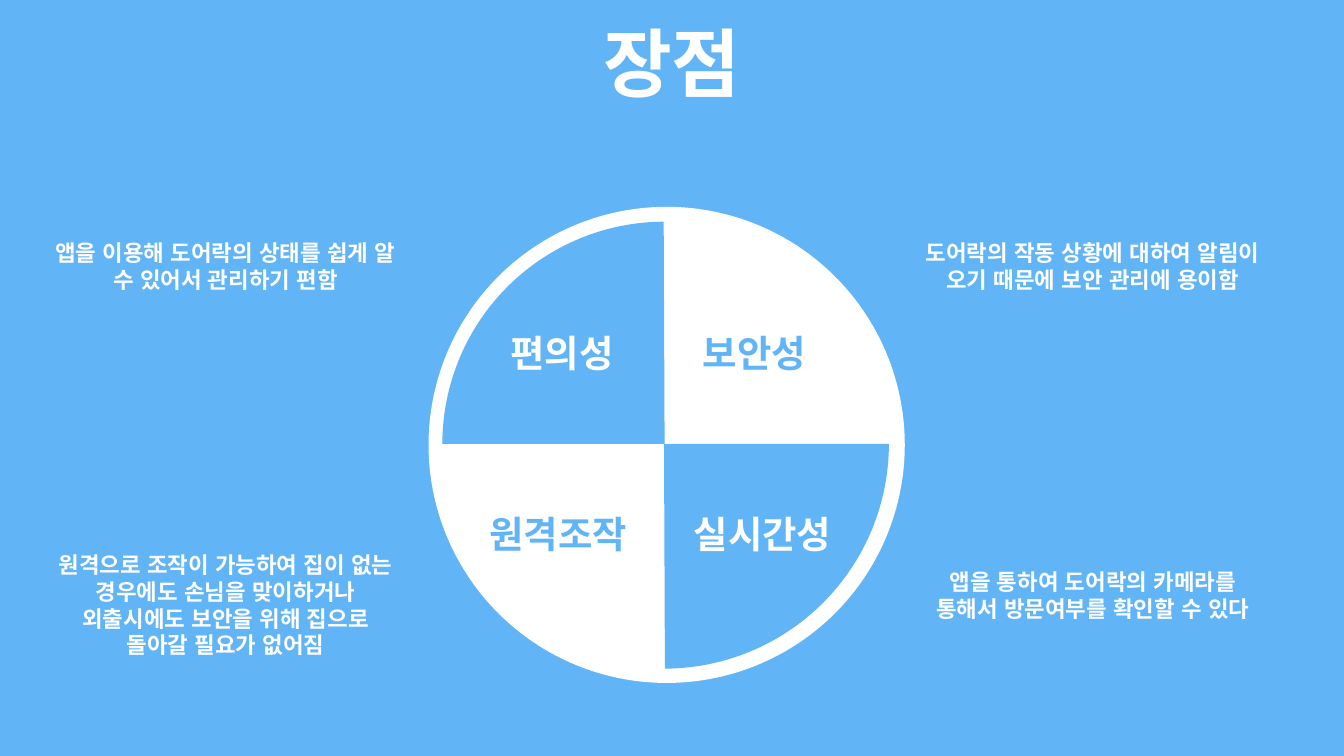
from pptx import Presentation
from pptx.dml.color import RGBColor
from pptx.enum.lang import MSO_LANGUAGE_ID
from pptx.enum.shapes import MSO_SHAPE
from pptx.enum.text import MSO_ANCHOR, PP_ALIGN
from pptx.util import Cm, Pt

COLORS = {"sky": "61B4F6", "white": "FFFFFF"}


class SlideBuilder:
    """Holds the style and the current slide and adds elements to it."""

    font_name = "Arial"

    def __init__(self, slide):
        self.slide = slide

    def color(self, name):
        return RGBColor.from_string(COLORS[name])

    def background(self, color):
        fill = self.slide.background.fill
        fill.solid()
        fill.fore_color.rgb = self.color(color)

    def shape(self, kind, left, top, size, color, rotation=0):
        shape = self.slide.shapes.add_shape(kind, Cm(left), Cm(top), Cm(size), Cm(size))
        shape.shadow.inherit = False
        shape.fill.solid()
        shape.fill.fore_color.rgb = self.color(color)
        shape.line.fill.background()
        shape.rotation = rotation
        return shape

    def quarter(self, left, top, size, color, rotation=0):
        pie = self.shape(MSO_SHAPE.PIE, left, top, size, color, rotation)
        pie.adjustments[0] = 0
        pie.adjustments[1] = 53.86

    def text(self, text, left, top, width, height, size, color="white",
             align=PP_ALIGN.CENTER, anchor=MSO_ANCHOR.TOP):
        box = self.slide.shapes.add_textbox(Cm(left), Cm(top), Cm(width), Cm(height))
        frame = box.text_frame
        frame.word_wrap = True
        frame.vertical_anchor = anchor
        paragraph = frame.paragraphs[0]
        paragraph.text = text
        paragraph.alignment = align
        font = paragraph.font
        font.name = self.font_name
        font.size = Pt(size)
        font.bold = True
        font.color.rgb = self.color(color)
        font.language_id = MSO_LANGUAGE_ID.KOREAN


presentation = Presentation()
presentation.slide_width = Cm(25.4)
presentation.slide_height = Cm(14.29)
builder = SlideBuilder(presentation.slides.add_slide(presentation.slide_layouts[6]))

builder.background("sky")
builder.text("장점", 0, 0.36, 25.4, 1.6, 40, anchor=MSO_ANCHOR.MIDDLE)

builder.shape(MSO_SHAPE.OVAL, 8.1, 3.91, 9, "white")
builder.quarter(8.36, 4.19, 8.4, "sky", rotation=180)
builder.quarter(8.3, 4.14, 8.5, "sky")

labels = [
    ("편의성", 9.4, 6.12, 3, "white"),
    ("보안성", 13.03, 6.12, 3, "sky"),
    ("원격조작", 9, 9.53, 3.6, "sky"),
    ("실시간성", 12.86, 9.53, 3.33, "white"),
]
for label, left, top, width, color in labels:
    builder.text(label, left, top, width, 1.12, 20, color, PP_ALIGN.LEFT)

left_column, right_column = 0.71, 17.1
descriptions = [
    ("앱을 이용해 도어락의 상태를 쉽게 알 수 있어서 관리하기 편함", left_column, 4.4, 1.27),
    ("도어락의 작동 상황에 대하여 알림이 오기 때문에 보안 관리에 용이함", right_column, 4.4, 1.27),
    ("원격으로 조작이 가능하여 집이 없는 경우에도 손님을 맞이하거나 "
     "외출시에도 보안을 위해 집으로 돌아갈 필요가 없어짐", left_column, 10.29, 2.31),
    ("앱을 통하여 도어락의 카메라를 통해서 방문여부를 확인할 수 있다", right_column, 10.62, 1.27),
]
for description, left, top, height in descriptions:
    builder.text(description, left, top, 7.11, height, 12)

presentation.save("out.pptx")
